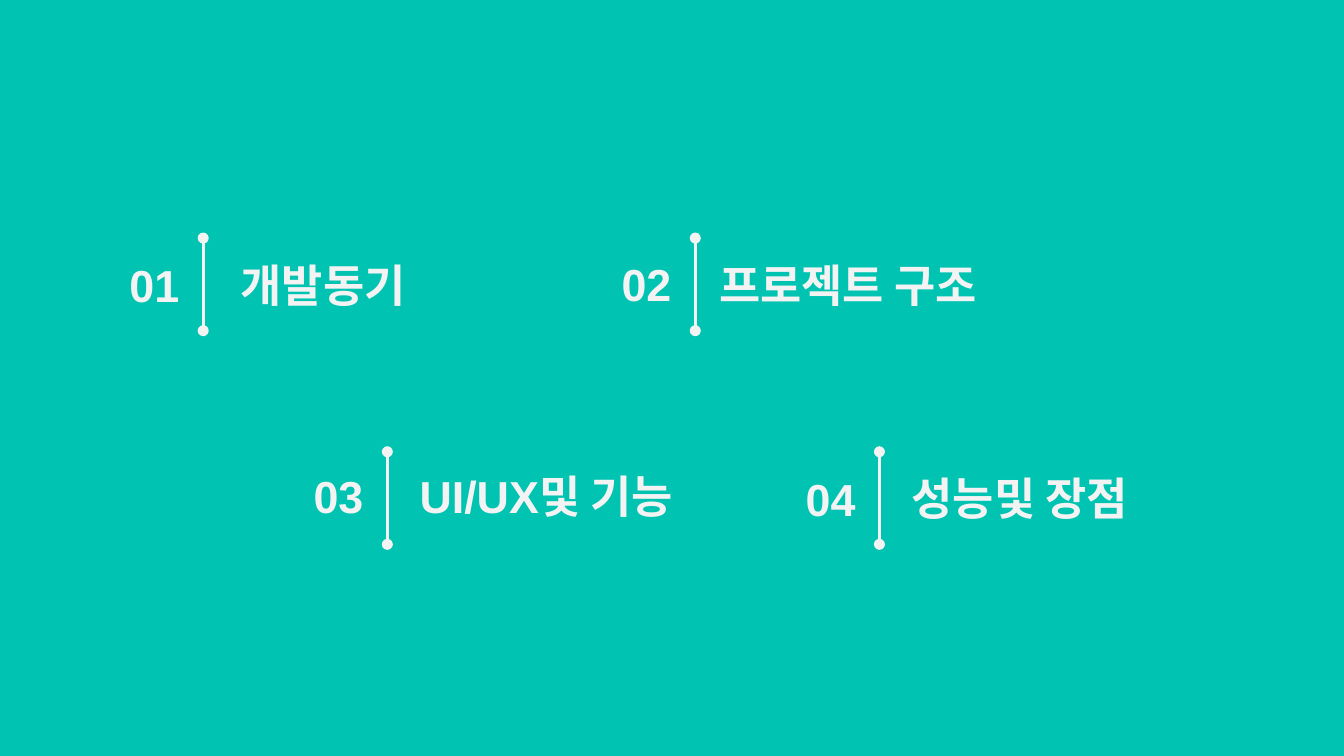
import dataclasses

import lxml.etree
import pptx
import pptx.dml.color
import pptx.enum.shapes
import pptx.enum.text
import pptx.oxml.ns
import pptx.util

Cm = pptx.util.Cm
Align = pptx.enum.text.PP_ALIGN


@dataclasses.dataclass(frozen=True)
class Theme:
    """Hold the colours, font and sizes of the deck."""
    background: str = "00C3B1"
    ink: str = "F3F3F3"
    font: str = "Arial"
    heading_size: float = 24
    line_width: float = 1.5


@dataclasses.dataclass(frozen=True)
class Entry:
    """Describe one contents entry and its fine spacing in centimetres."""
    number: str
    label: str
    label_gap: float
    number_drop: float
    label_drop: float


THEME = Theme()
ROWS = [
    [Entry("01", "개발동기", 0.46, 0.3, 0.3),
     Entry("02", "프로젝트 구조", 0.2, 0.28, 0.3)],
    [Entry("03", "UI/UX및 기능", 0.36, 0.25, 0.25),
     Entry("04", "성능및 장점", 0.36, 0.3, 0.28)],
]
GRID_LEFT, GRID_TOP = 1.96, 4.5
COLUMN_PITCH, ROW_PITCH, ROW_INDENT = 9.3, 4.04, 3.48
DIVIDER_OFFSET, DIVIDER_HEIGHT = 1.88, 1.75
NUMBER_WIDTH, LABEL_WIDTH, TEXT_HEIGHT = 1.68, 6.5, 1.17


def colour(value):
    """Turn a hex string into a colour."""
    return pptx.dml.color.RGBColor.from_string(value)


def write_heading(box, text, left, top, width, align):
    """Place a text shape and fill it with one bold heading."""
    box.left, box.top = Cm(left), Cm(top)
    box.width, box.height = Cm(width), Cm(TEXT_HEIGHT)
    frame = box.text_frame
    frame.word_wrap = True
    frame.auto_size = pptx.enum.text.MSO_AUTO_SIZE.NONE
    frame.vertical_anchor = pptx.enum.text.MSO_ANCHOR.MIDDLE
    frame.margin_left = frame.margin_right = Cm(0.25)
    frame.margin_top = frame.margin_bottom = Cm(0.25)
    para = frame.paragraphs[0]
    para.text = text
    para.alignment = align
    para.font.name = THEME.font
    para.font.size = pptx.util.Pt(THEME.heading_size)
    para.font.bold = True
    para.font.color.rgb = colour(THEME.ink)


def add_text_box(page):
    """Add an empty text box, to be placed later."""
    return page.shapes.add_textbox(0, 0, 0, 0)


def add_divider(page, left, top):
    """Draw a vertical line with a dot at each end."""
    line = page.shapes.add_connector(
        pptx.enum.shapes.MSO_CONNECTOR.STRAIGHT,
        Cm(left), Cm(top), Cm(left), Cm(top + DIVIDER_HEIGHT))
    line.line.color.rgb = colour(THEME.ink)
    line.line.width = pptx.util.Pt(THEME.line_width)
    outline = line.line._get_or_add_ln()
    for end in ("a:headEnd", "a:tailEnd"):
        lxml.etree.SubElement(outline, pptx.oxml.ns.qn(end), type="oval")
    lxml.etree.SubElement(line._element.spPr, pptx.oxml.ns.qn("a:effectLst"))


def add_entry(page, entry, left, top, label_box):
    """Place number, divider and label from the entry's top left corner."""
    divider = left + DIVIDER_OFFSET
    write_heading(add_text_box(page), entry.number, left,
                  top + entry.number_drop, NUMBER_WIDTH, Align.RIGHT)
    add_divider(page, divider, top)
    write_heading(label_box, entry.label, divider + entry.label_gap,
                  top + entry.label_drop, LABEL_WIDTH, Align.LEFT)


def add_contents_page(deck):
    """Build the contents page as two staggered rows of entries."""
    page = deck.slides.add_slide(deck.slide_layouts.get_by_name("Title Only"))
    page.background.fill.solid()
    page.background.fill.fore_color.rgb = colour(THEME.background)
    for row, entries in enumerate(ROWS):
        for column, entry in enumerate(entries):
            first = row == column == 0
            label_box = page.shapes.title if first else add_text_box(page)
            add_entry(page, entry,
                      GRID_LEFT + column * COLUMN_PITCH + row * ROW_INDENT,
                      GRID_TOP + row * ROW_PITCH, label_box)


def main():
    """Create the deck and save it."""
    deck = pptx.Presentation()
    deck.slide_width, deck.slide_height = Cm(25.4), Cm(14.29)
    add_contents_page(deck)
    deck.save("out.pptx")


if __name__ == "__main__":
    main()
